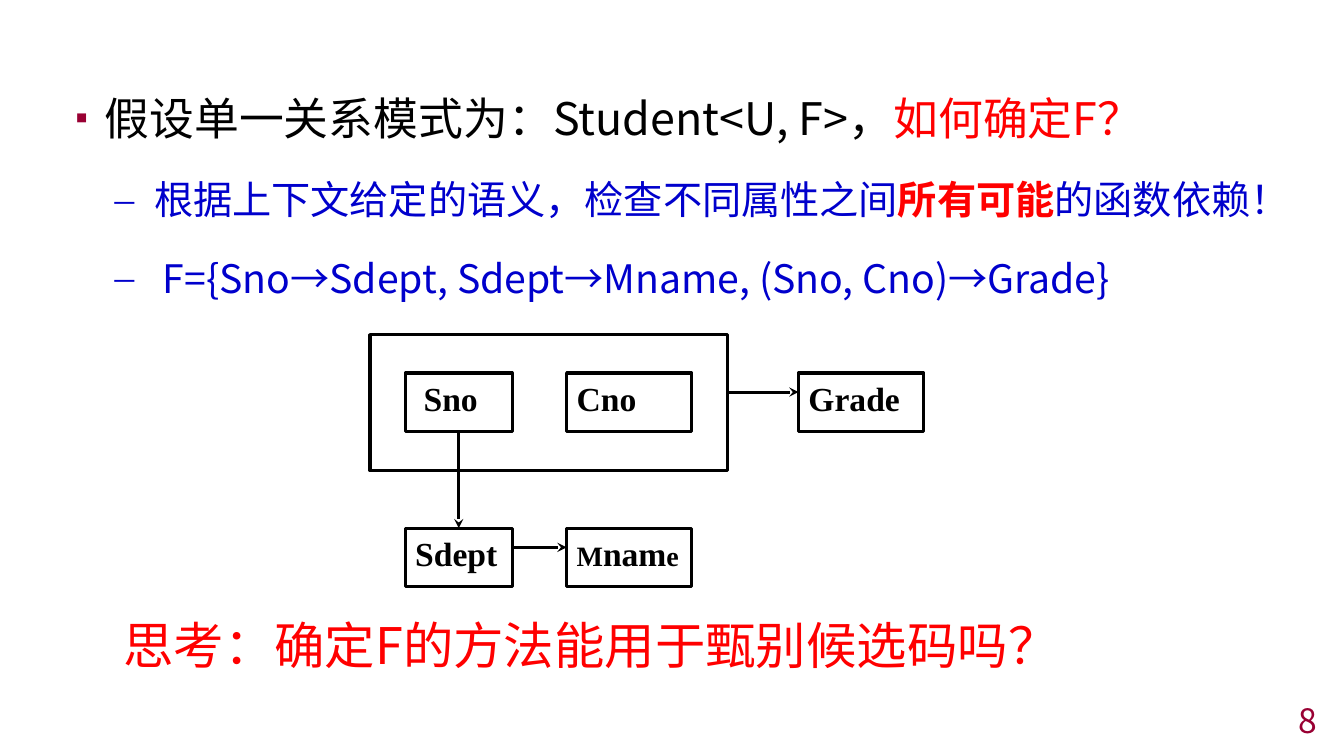
from dataclasses import dataclass

from lxml import etree
from pptx import Presentation, util as u
from pptx.dml.color import RGBColor
from pptx.enum import shapes, text
from pptx.oxml.ns import qn


@dataclass(frozen=True)
class Theme:
    sans: str = "Noto Sans CJK SC"
    serif: str = "Times New Roman"
    black: str = "000000"
    red: str = "FF0000"
    blue: str = "0000CC"
    maroon: str = "990033"
    question: int = 36
    heading: int = 32
    detail: int = 28
    label: int = 24
    small: int = 20
    line: float = 2.25
    spacing: float = 1.5


T = Theme()

# Diagram grid: column -> (left, width), row -> top, in inches
COLS = {"student": (4.02, 1.06), "course": (5.62, 1.24), "result": (7.92, 1.24)}
ROWS = {"key": 3.7, "derived": 5.24}
BOX_H = 0.58
ARROW_DROP = 0.19
KEY_FRAME = (3.67, 3.32, 3.55, 1.35)


def inches(*values):
    return [u.Inches(v) for v in values]


def add_run(p, words, size=T.detail, font=T.sans, color=T.black, bold=False):
    r = p.add_run()
    r.text = words
    r.font.size = u.Pt(size)
    r.font.name = font
    r.font.bold = bold
    r.font.color.rgb = RGBColor.from_string(color)
    ea = etree.SubElement(r.font._element, qn("a:ea"))
    ea.set("typeface", font)


def add_textbox(s, *place):
    tf = s.shapes.add_textbox(*inches(*place)).text_frame
    tf.word_wrap = True
    return tf


def format_bullet(p, char, size, left, hang, color=None, percent=None):
    """Set level spacing and a hanging bullet; color and percent are optional."""
    p.line_spacing = T.spacing
    p.space_before = u.Pt(size * 0.2)
    pPr = p._p.get_or_add_pPr()
    pPr.set("marL", str(u.Inches(left)))
    pPr.set("indent", str(-u.Inches(hang)))
    pPr.set("hangingPunct", "1")
    if color:
        clr = etree.SubElement(pPr, qn("a:buClr"))
        etree.SubElement(clr, qn("a:srgbClr")).set("val", color)
    if percent:
        etree.SubElement(pPr, qn("a:buSzPct")).set("val", str(percent * 1000))
    etree.SubElement(pPr, qn("a:buFont")).set("typeface", T.serif)
    etree.SubElement(pPr, qn("a:buChar")).set("char", char)


def add_body(s):
    tf = add_textbox(s, 0.65, 0.58, 12.04, 6.56)
    p = tf.paragraphs[0]
    format_bullet(p, "▪", T.heading, 0.29, 0.29, T.maroon, 80)
    add_run(p, "假设单一关系模式为：Student<U, F>，", size=T.heading)
    add_run(p, "如何确定F？", size=T.heading, color=T.red)
    details = [
        [("根据上下文给定的语义，检查不同属性之间", T.blue, False),
         ("所有可能", T.red, True),
         ("的函数依赖！", T.blue, False)],
        [(" F={Sno→Sdept, Sdept→Mname, (Sno, Cno)→Grade}", T.blue, False)],
    ]
    for runs in details:
        p = tf.add_paragraph()
        p.level = 1
        format_bullet(p, "–", T.detail, 0.78, 0.39)
        for words, color, bold in runs:
            add_run(p, words, color=color, bold=bold)


def add_frame(grp, *place):
    sp = grp.shapes.add_shape(shapes.MSO_SHAPE.RECTANGLE, *inches(*place))
    sp.shadow.inherit = False
    sp.fill.background()
    sp.line.color.rgb = RGBColor.from_string(T.black)
    sp.line.width = u.Pt(T.line)
    return sp


def add_attribute(grp, col, row, *runs):
    """Draw an attribute box at a grid cell; runs are (words, size) pairs."""
    left, width = COLS[col]
    sp = add_frame(grp, left, ROWS[row], width, BOX_H)
    tf = sp.text_frame
    tf.vertical_anchor = text.MSO_ANCHOR.TOP
    p = tf.paragraphs[0]
    p.alignment = text.PP_ALIGN.JUSTIFY
    for words, size in runs:
        add_run(p, words, size=size, font=T.serif, bold=True)
    return sp


def add_arrow(grp, x1, y1, x2, y2):
    cx = grp.shapes.add_connector(shapes.MSO_CONNECTOR.STRAIGHT, x1, y1, x2, y2)
    cx.line.color.rgb = RGBColor.from_string(T.black)
    cx.line.width = u.Pt(T.line)
    etree.SubElement(cx.line._get_or_add_ln(), qn("a:tailEnd")).set("type", "stealth")
    etree.SubElement(cx._element.spPr, qn("a:effectLst"))
    return cx


def add_side_arrow(grp, source, target):
    """Run level from source to target, just below the target's top."""
    y = target.top + u.Inches(ARROW_DROP)
    add_arrow(grp, source.left + source.width, y, target.left, y)


def add_diagram(s):
    grp = s.shapes.add_group_shape()
    key = add_frame(grp, *KEY_FRAME)
    sno = add_attribute(grp, "student", "key", (" Sno", T.label))
    add_attribute(grp, "course", "key", ("Cno", T.label))
    sdept = add_attribute(grp, "student", "derived", ("Sdept", T.label))
    mname = add_attribute(grp, "course", "derived",
                          ("M", T.small), ("nam", T.label), ("e", T.small))
    down = add_arrow(grp, 0, 0, 0, 0)
    down.begin_connect(sno, 2)
    down.end_connect(sdept, 0)
    add_side_arrow(grp, sdept, mname)
    grade = add_attribute(grp, "result", "key", ("Grade", T.label))
    add_side_arrow(grp, key, grade)


def add_slide_number(s):
    tf = add_textbox(s, 10.33, 6.99, 2.83, 0.31)
    tf.vertical_anchor = text.MSO_ANCHOR.MIDDLE
    p = tf.paragraphs[0]
    p.alignment = text.PP_ALIGN.RIGHT
    add_run(p, "8", size=T.label, color=T.maroon)


def add_question(s):
    tf = add_textbox(s, 1, 6.04, 9.22, 0.71)
    tf.auto_size = text.MSO_AUTO_SIZE.SHAPE_TO_FIT_TEXT
    p = tf.paragraphs[0]
    p.alignment = text.PP_ALIGN.CENTER
    p._p.get_or_add_pPr().set("hangingPunct", "1")
    add_run(p, "思考：确定F的方法能用于甄别候选码吗？", size=T.question, color=T.red)


def main():
    prs = Presentation()
    prs.slide_width, prs.slide_height = inches(13.33, 7.5)
    s = prs.slides.add_slide(prs.slide_layouts[6])
    add_body(s)
    add_slide_number(s)
    add_diagram(s)
    add_question(s)
    prs.save("out.pptx")


if __name__ == "__main__":
    main()
